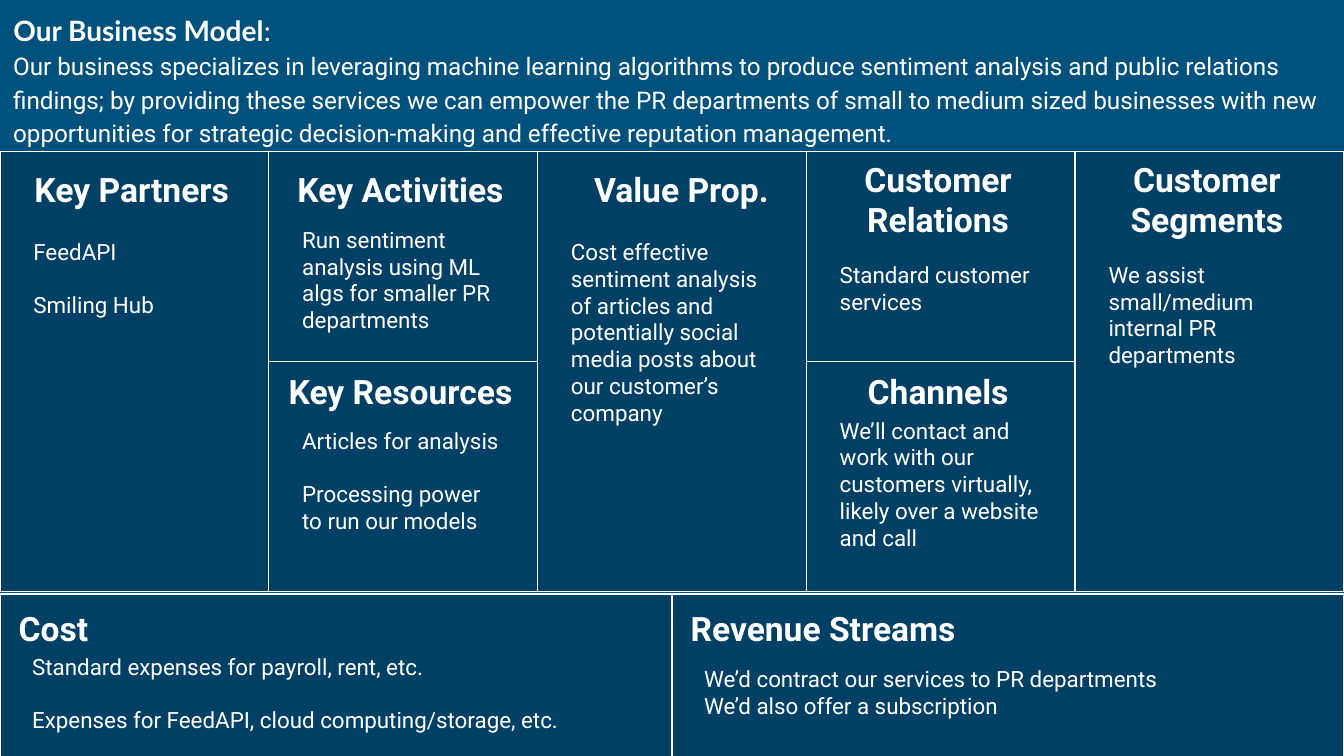
from collections import namedtuple

from pptx import Presentation
from pptx.dml.color import RGBColor
from pptx.enum.shapes import MSO_SHAPE
from pptx.enum.text import MSO_ANCHOR, MSO_AUTO_SIZE, PP_ALIGN
from pptx.util import Inches, Pt

COLORS = {"background": "00517C", "block": "004065", "white": "FFFFFF"}
WIDTH = 10
HEIGHT = WIDTH * 9 / 16
COLUMN = WIDTH / 5
CANVAS_TOP, CANVAS_HEIGHT = 1.13, 3.27
LOWER_TOP = 2.69
UPPER_HEIGHT = LOWER_TOP - CANVAS_TOP
LOWER_HEIGHT = CANVAS_HEIGHT - UPPER_HEIGHT
FOOT_TOP, FOOT_HEIGHT = 4.42, 1.21

Box = namedtuple("Box", "left top width height")
# heading and body are boxes relative to the block's top left corner
Block = namedtuple("Block", "box title heading lines body gap align")


def color(name):
    return RGBColor.from_string(COLORS[name])


def style(paragraph, size, font="Roboto", bold=False, align=PP_ALIGN.LEFT):
    paragraph.alignment = align
    paragraph.font.name = font
    paragraph.font.size = Pt(size)
    paragraph.font.bold = bold
    paragraph.font.color.rgb = color("white")


def set_frame(frame, auto_size):
    frame.word_wrap = True
    frame.auto_size = auto_size
    frame.vertical_anchor = MSO_ANCHOR.TOP
    frame.margin_left = frame.margin_right = Inches(0.1)
    frame.margin_top = frame.margin_bottom = Inches(0.1)


def add_text(slide, box, lines, size, gap=0, **look):
    frame = slide.shapes.add_textbox(*map(Inches, box)).text_frame
    set_frame(frame, MSO_AUTO_SIZE.SHAPE_TO_FIT_TEXT)
    frame.text = "\n".join(lines)
    for index, paragraph in enumerate(frame.paragraphs):
        style(paragraph, size, **look)
        if index:
            paragraph.space_before = Pt(gap)
    return frame


def inside(outer, inner):
    return Box(outer.left + inner.left, outer.top + inner.top,
               inner.width, inner.height)


def add_header(slide, box):
    # Heading
    title = slide.shapes.title
    title.left, title.top = Inches(box.left), Inches(box.top)
    title.width, title.height = Inches(box.width), Inches(0.45)
    set_frame(title.text_frame, MSO_AUTO_SIZE.NONE)
    heading = title.text_frame.paragraphs[0]
    style(heading, 15, font="Lato", bold=None)
    for text, bold in (("Our Business Model", True), (":", False)):
        run = heading.add_run()
        run.text, run.font.bold = text, bold

    # Description
    summary = add_text(
        slide, Box(box.left, box.top + 0.25, box.width, 0.9),
        ["Our business specializes in leveraging machine learning algorithms "
         "to produce sentiment analysis and public relations findings; by "
         "providing these services we can empower the PR departments of small "
         "to medium sized businesses with new opportunities for strategic "
         "decision-making and effective reputation management."], 13)
    summary.paragraphs[0].line_spacing = 1.15


def add_block(slide, block):
    panel = slide.shapes.add_shape(MSO_SHAPE.RECTANGLE, *map(Inches, block.box))
    panel.shadow.inherit = False
    panel.fill.solid()
    panel.fill.fore_color.rgb = color("block")
    panel.line.color.rgb = color("white")
    panel.line.width = Pt(0.75)
    add_text(slide, inside(block.box, block.heading), [block.title], 18,
             bold=True, align=block.align)
    add_text(slide, inside(block.box, block.body), block.lines, 12, block.gap)


def column_block(column, title, lines, body_top, body_height, top=CANVAS_TOP,
                 height=CANVAS_HEIGHT, heading_top=0.03, heading_left=0.04,
                 heading_height=0.5):
    return Block(Box(column * COLUMN, top, COLUMN, height), title,
                 Box(heading_left, heading_top, 1.88, heading_height), lines,
                 Box(0.15, body_top, 1.7, body_height), 14, PP_ALIGN.CENTER)


def foot_block(half, title, lines, body_top, body_height, gap):
    width = WIDTH / 2
    return Block(Box(half * width, FOOT_TOP, width, FOOT_HEIGHT), title,
                 Box(0.04, 0, 2.38, 0.5), lines,
                 Box(0.14, body_top, 4.71, body_height), gap, PP_ALIGN.LEFT)


UPPER = {"height": UPPER_HEIGHT}
LOWER = {"top": LOWER_TOP, "height": LOWER_HEIGHT, "heading_top": -0.03}
TWO_LINE = {"heading_top": -0.05, "heading_height": 0.81}

BLOCKS = [
    column_block(0, "Key Partners", ["FeedAPI", "Smiling Hub"], 0.54, 1.41),
    column_block(1, "Key Activities",
                 ["Run sentiment analysis using ML algs for smaller PR "
                  "departments"], 0.45, 1.01, **UPPER),
    column_block(1, "Key Resources",
                 ["Articles for analysis", "Processing power to run our models"],
                 0.39, 1.01, **LOWER),
    column_block(2, "Value Prop.",
                 ["Cost effective sentiment analysis of articles and "
                  "potentially social media posts about our customer’s company"],
                 0.54, 1.62, heading_left=0.13),
    column_block(3, "Customer Relations", ["Standard customer services"],
                 0.71, 0.61, **UPPER, **TWO_LINE),
    column_block(3, "Channels",
                 ["We’ll contact and work with our customers virtually, likely "
                  "over a website and call"], 0.31, 1.21, **LOWER),
    column_block(4, "Customer Segments",
                 ["We assist small/medium internal PR departments"],
                 0.71, 1.01, **TWO_LINE),
    foot_block(0, "Cost",
               ["Standard expenses for payroll, rent, etc.",
                "Expenses for FeedAPI, cloud computing/storage, etc."],
               0.34, 0.81, 14),
    foot_block(1, "Revenue Streams",
               ["We’d contract our services to PR departments",
                "We’d also offer a subscription"], 0.43, 0.61, 0),
]


def main():
    deck = Presentation()
    deck.slide_width, deck.slide_height = Inches(WIDTH), Inches(HEIGHT)
    slide = deck.slides.add_slide(deck.slide_layouts[5])
    slide.background.fill.solid()
    slide.background.fill.fore_color.rgb = color("background")

    add_header(slide, Box(0, 0, WIDTH, CANVAS_TOP))
    for block in BLOCKS:
        add_block(slide, block)
    deck.save("out.pptx")


if __name__ == "__main__":
    main()
